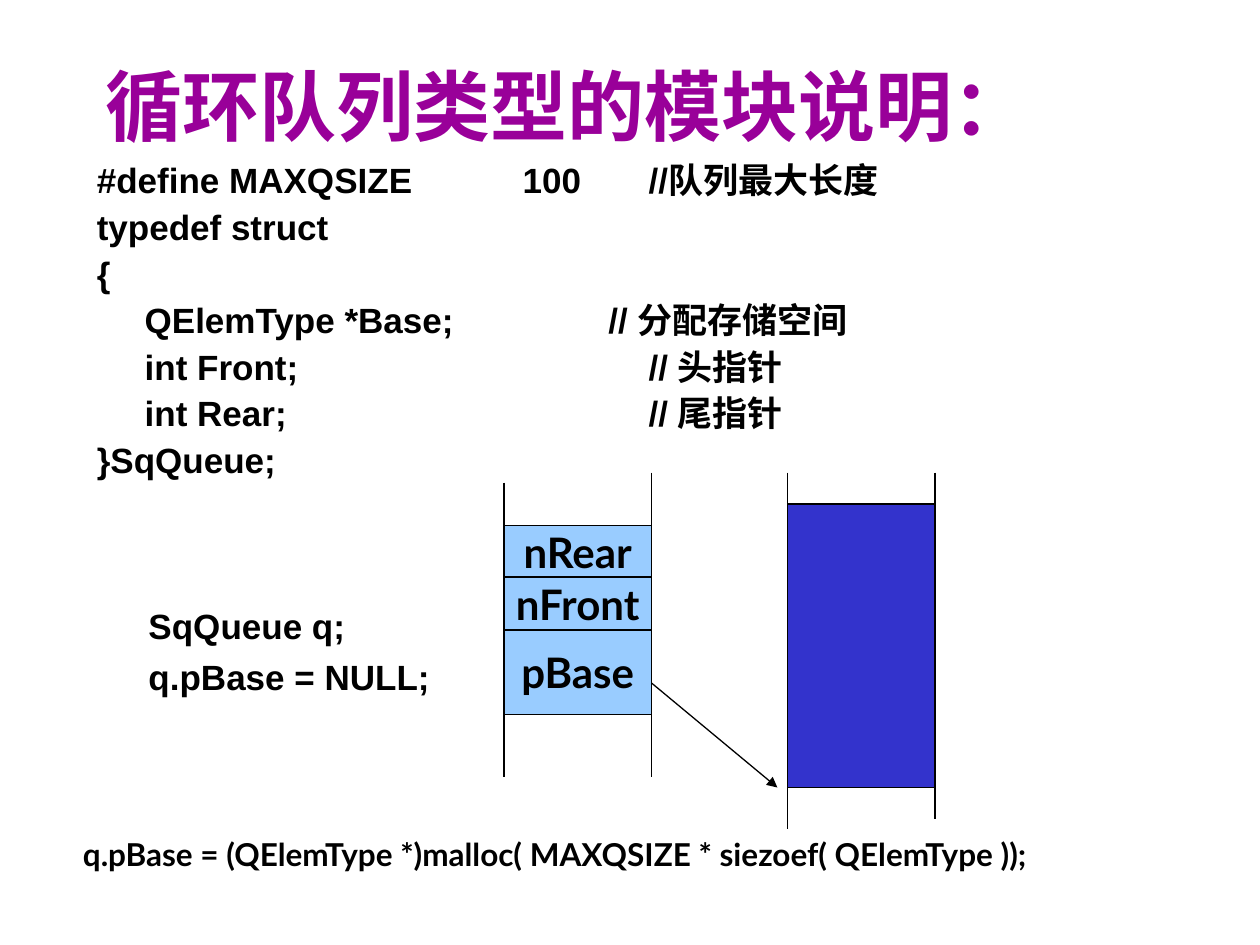
from lxml import etree
from pptx import Presentation
from pptx.dml.color import RGBColor
from pptx.enum import shapes, text
from pptx.oxml import ns
from pptx.util import Inches, Pt

COLORS = {"title": "990099", "ink": "000000", "field": "99CCFF", "storage": "3333CC"}
CELL_WIDTH = 1.17
QUEUE_LEFT, STORAGE_LEFT = 4, 6.25
TAB_STEP = 1
BASE_TAB_STEP = 3.68  # one wide step sets the comment after the longest declaration

CODE = [
    ("#define MAXQSIZE\t100\t//队列最大长度", TAB_STEP),
    ("typedef struct", TAB_STEP),
    ("{", TAB_STEP),
    ("\tQElemType *Base;\t// 分配存储空间", BASE_TAB_STEP),
    ("\tint Front;\t\t\t// 头指针", TAB_STEP),
    ("\tint Rear;\t\t\t// 尾指针", TAB_STEP),
    ("}SqQueue;", TAB_STEP),
]
USAGE = [("SqQueue q;", TAB_STEP), ("q.pBase = NULL;", TAB_STEP)]
FIELDS = [("nRear", 4.17, 0.42), ("nFront", 4.58, 0.42), ("pBase", 5, 0.67)]


def rgb(name):
    return RGBColor.from_string(COLORS[name])


def set_hanging_indent(paragraph, tab_step, indent=0.38):
    properties = paragraph._p.get_or_add_pPr()
    properties.set("marL", str(Inches(indent)))
    properties.set("indent", str(-Inches(indent)))
    properties.set("defTabSz", str(Inches(tab_step)))


def write_text(shape, lines, size, font="Arial", color="ink", align=None,
               anchor=text.MSO_ANCHOR.TOP, wrap=True, hanging=False, line_spacing=None):
    """Fill a shape with (wording, tab step) lines, one paragraph each."""
    frame = shape.text_frame
    frame.word_wrap = wrap
    frame.vertical_anchor = anchor
    for index, (wording, tab_step) in enumerate(lines):
        paragraph = frame.add_paragraph() if index else frame.paragraphs[0]
        if hanging:
            set_hanging_indent(paragraph, tab_step)
        if index:
            paragraph.space_before = Pt(5)
        if line_spacing:
            paragraph.line_spacing = line_spacing
        if align is not None:
            paragraph.alignment = align
        run = paragraph.add_run()
        run.text = wording
        run.font.name = font
        run.font.size = Pt(size)
        run.font.bold = True
        run.font.color.rgb = rgb(color)


def add_text(slide, left, top, width, height, lines, size, **text_format):
    box = slide.shapes.add_textbox(Inches(left), Inches(top), Inches(width), Inches(height))
    write_text(box, lines, size, **text_format)
    return box


def add_block(container, left, top, height, fill):
    block = container.shapes.add_shape(
        shapes.MSO_SHAPE.RECTANGLE,
        Inches(left), Inches(top), Inches(CELL_WIDTH), Inches(height))
    block.shadow.inherit = False
    block.fill.solid()
    block.fill.fore_color.rgb = rgb(fill)
    block.line.color.rgb = rgb("ink")
    block.line.width = Pt(0.75)
    return block


def add_line(container, start, end, arrow=False):
    line = container.shapes.add_connector(
        shapes.MSO_CONNECTOR.STRAIGHT, *(Inches(value) for value in (*start, *end)))
    line.line.color.rgb = rgb("ink")
    line.line.width = Pt(0.75)
    if arrow:
        etree.SubElement(line.line._get_or_add_ln(), ns.qn("a:tailEnd"), type="triangle")
    etree.SubElement(line._element.spPr, ns.qn("a:effectLst"))


def add_memory_walls(container, left, left_span, right_span):
    for x, (top, bottom) in ((left, left_span), (left + CELL_WIDTH, right_span)):
        add_line(container, (x, top), (x, bottom))


def main():
    presentation = Presentation()
    presentation.slide_width, presentation.slide_height = Inches(10), Inches(7.5)
    slide = presentation.slides.add_slide(presentation.slide_layouts[6])

    # Title and type definition
    add_text(slide, 0.42, 0.42, 8.17, 0.83, [("循环队列类型的模块说明：", TAB_STEP)], 44,
             color="title", align=text.PP_ALIGN.CENTER, anchor=text.MSO_ANCHOR.MIDDLE)
    add_text(slide, 0.67, 1.25, 6.67, 2.75, CODE, 20, hanging=True, line_spacing=0.9)
    add_text(slide, 1.08, 4.75, 2.58, 1.13, USAGE, 20, hanging=True)

    # Queue record in memory
    queue = slide.shapes.add_group_shape()
    for name, top, height in FIELDS:
        field = add_block(queue, QUEUE_LEFT, top, height, "field")
        write_text(field, [(name, TAB_STEP)], 24, font="Lato", wrap=False,
                   align=text.PP_ALIGN.CENTER, anchor=text.MSO_ANCHOR.MIDDLE)
    add_memory_walls(queue, QUEUE_LEFT, (3.83, 6.17), (3.75, 6.17))

    # Allocated storage
    storage = slide.shapes.add_group_shape()
    add_memory_walls(storage, STORAGE_LEFT, (3.75, 6.58), (3.75, 6.5))
    add_block(storage, STORAGE_LEFT, 4, 2.25, "storage")

    # Base pointer and its allocation
    add_line(slide, (QUEUE_LEFT + CELL_WIDTH, 5.42), (6.17, 6.25), arrow=True)
    allocation = add_text(
        slide, 0.56, 6.58, 8.5, 0.4,
        [("q.pBase = (QElemType *)malloc( MAXQSIZE * siezoef( QElemType ));", TAB_STEP)],
        18, font="Lato", wrap=False)
    allocation.text_frame.auto_size = text.MSO_AUTO_SIZE.SHAPE_TO_FIT_TEXT

    presentation.save("out.pptx")


if __name__ == "__main__":
    main()
